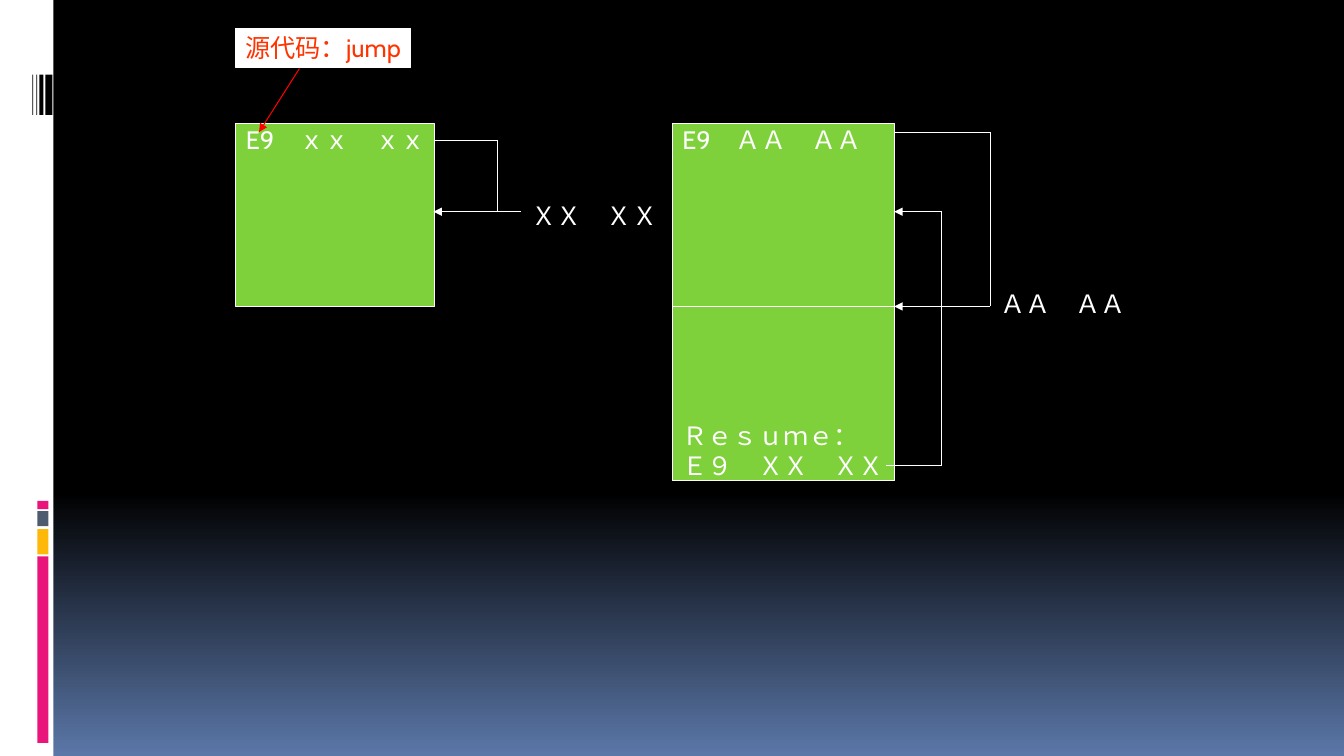
from pptx import Presentation
from pptx import util as u
from pptx.dml.color import RGBColor
from pptx.enum import shapes, text
from pptx.oxml.ns import qn
from lxml import etree

Inches = u.Inches
HUES = {"white": "FFFFFF", "black": "000000", "green": "7FD13B", "pink": "EA157A",
        "gold": "FEB80A", "slate": "4E5B6F", "blue": "5B77A8",
        "red": "FF0000", "orange": "FF3300"}
RGB = {name: RGBColor.from_string(hue) for name, hue in HUES.items()}

deck = Presentation()
deck.slide_width, deck.slide_height = Inches(13.33), Inches(7.5)
slide = deck.slides.add_slide(deck.slide_layouts[6])

# Background: black, fading to blue at the bottom
back = slide.background.fill
back.gradient()
back.gradient_angle = 270
for stop, (spot, hue) in zip(back.gradient_stops, [(0.65, "black"), (1, "blue")]):
    stop.position = spot
    stop.color.rgb = RGB[hue]


def add_rect(x, y, w, h, hue, edge=None):
    rect = slide.shapes.add_shape(shapes.MSO_SHAPE.RECTANGLE,
                                  Inches(x), Inches(y), Inches(w), Inches(h))
    rect.shadow.inherit = False
    rect.fill.solid()
    rect.fill.fore_color.rgb = RGB[hue]
    if edge:
        rect.line.color.rgb = RGB[edge]
        rect.line.width = u.Pt(0.75)
    else:
        rect.line.fill.background()
    return rect


def write(shape, words, hue="white", anchor="TOP", align="LEFT"):
    frame = shape.text_frame
    frame.text = words
    frame.word_wrap = False
    frame.vertical_anchor = text.MSO_ANCHOR[anchor]
    for para in frame.paragraphs:
        para.alignment = text.PP_ALIGN[align]
        para.font.size = u.Pt(18)
        para.font.name = "Cabin"
        para.font.color.rgb = RGB[hue]


# Side strip with colour blocks and bars
add_rect(0, 0, 0.53, 7.5, "white")
for y, h, hue in [(5.52, 1.85, "pink"), (5.25, 0.25, "gold"),
                  (5.07, 0.15, "slate"), (4.97, 0.08, "pink")]:
    add_rect(0.37, y, 0.11, h, hue)
for x, w in [(0.45, 0.07), (0.39, 0.04), (0.36, 0.01), (0.32, 0.01)]:
    add_rect(x, 0.74, w, 0.4, "black")

# Code blocks
for x, y, w, h, words, anchor in [
        (2.34, 1.23, 1.97, 1.81, "E9　ｘｘ　ｘｘ", "TOP"),
        (6.67, 3.04, 2.2, 1.73, "Ｒｅｓｕｍｅ：\nＥ９　ＸＸ　ＸＸ", "BOTTOM"),
        (6.67, 1.23, 2.2, 1.81, "E9　ＡＡ　ＡＡ", "TOP")]:
    block = add_rect(x, y, w, h, "green", "white")
    write(block, words, anchor=anchor)
    block.text_frame.margin_top = block.text_frame.margin_bottom = 0

# Jump targets
for x, y, words in [(9.82, 2.81, "ＡＡ　ＡＡ"), (5.17, 1.94, "ＸＸ　ＸＸ")]:
    write(slide.shapes.add_textbox(Inches(x), Inches(y), Inches(1.45), Inches(0.4)), words)

# Source label
label = add_rect(2.34, 0.28, 1.73, 0.39, "white", "white")
write(label, "源代码：jump", "orange", "MIDDLE", "CENTER")

# Jump routes: each runs through its points, with an arrowhead where it lands
routes = [
    ([(4.3, 1.39), (4.93, 1.39), (4.93, 2.1)], "white", False),
    ([(5.17, 2.1), (4.3, 2.1)], "white", True),
    ([(8.87, 1.31), (9.82, 1.31), (9.82, 3.04), (8.87, 3.04)], "white", True),
    ([(8.79, 4.62), (9.34, 4.62), (9.34, 2.1), (8.87, 2.1)], "white", True),
    ([(2.97, 0.68), (2.57, 1.31)], "red", True),
]
for points, hue, arrow in routes:
    for start, end in zip(points, points[1:]):
        line = slide.shapes.add_connector(shapes.MSO_CONNECTOR.STRAIGHT,
                                          *map(Inches, start + end))
        line.line.color.rgb = RGB[hue]
        line.line.width = u.Pt(0.75)
        props = line._element.spPr
        etree.SubElement(props, qn("a:effectLst"))
        if arrow and end == points[-1]:
            etree.SubElement(props.find(qn("a:ln")), qn("a:tailEnd"), type="triangle")

deck.save("out.pptx")
